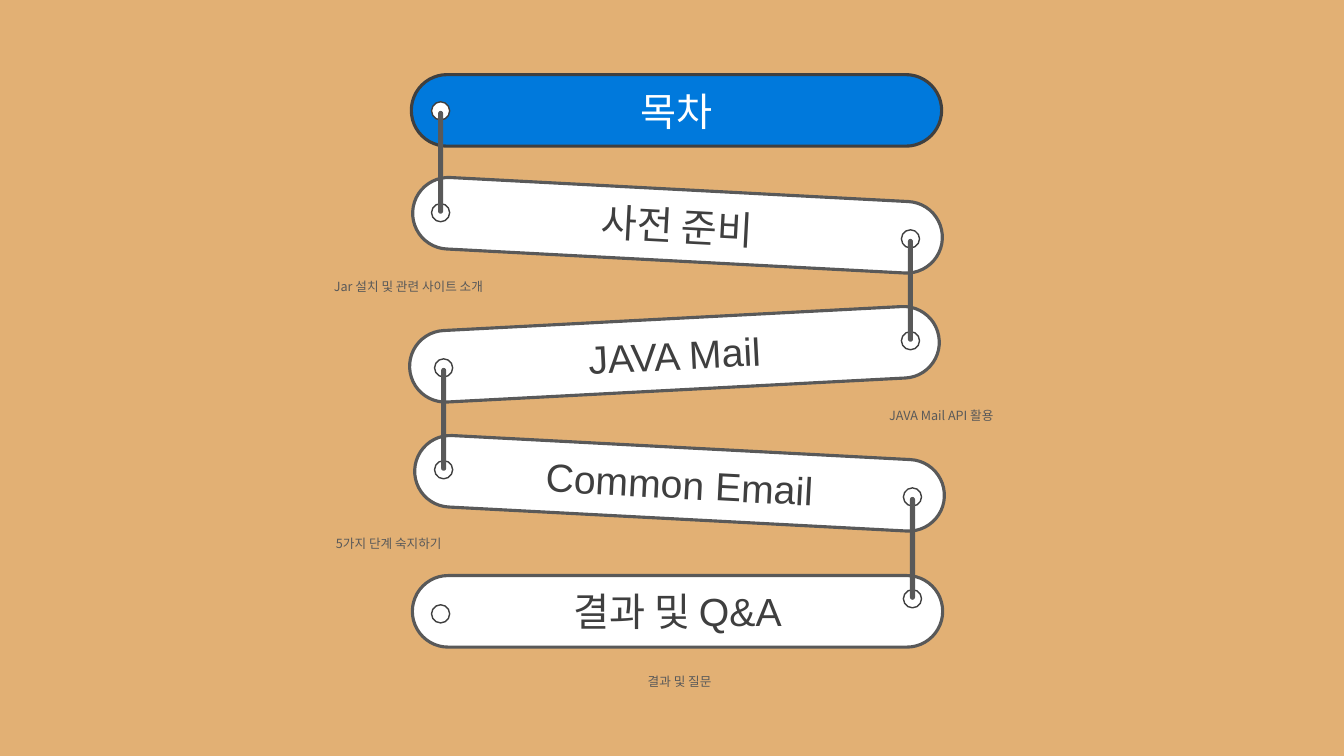
from pptx import Presentation
from pptx.dml.color import RGBColor
from pptx.enum.shapes import MSO_SHAPE
from pptx.enum.text import MSO_ANCHOR, PP_ALIGN
from pptx.util import Inches, Pt
from lxml import etree

PILL = MSO_SHAPE.ROUNDED_RECTANGLE
RING = MSO_SHAPE.OVAL
MIDDLE, TOP = MSO_ANCHOR.MIDDLE, MSO_ANCHOR.TOP
CENTER = PP_ALIGN.CENTER

SAND = RGBColor(0xE2, 0xB0, 0x74)
BLUE = RGBColor(0x00, 0x79, 0xDC)
WHITE = RGBColor(0xFF, 0xFF, 0xFF)
DARK = RGBColor(0x3F, 0x3F, 0x3F)
GRAY = RGBColor(0x59, 0x59, 0x59)

HEAD, BODY = "Arial", "Noto Sans CJK KR"
DRAW = "{http://schemas.openxmlformats.org/drawingml/2006/main}"

# Grid of 133.3 columns by 75 rows
COLS, ROWS = 133.3, 75
CELL = Inches(0.1)
BAR_W, BAR_H = 52.6, 7.1
DOT = 1.8
ROD_W, ROD_H = 0.5, 10.2
STEP = 10.1  # drop from the upper ring to the lower ring

# Left, top, tilt, text, fill, line, text colour
BARS = [
    (40.8, 7.4, 0, "목차", BLUE, DARK, WHITE),
    (40.9, 18.8, 3, "사전 준비", WHITE, GRAY, DARK),
    (40.6, 31.6, -3, "JAVA Mail", WHITE, GRAY, DARK),
    (41.1, 44.4, 3, "Common Email", WHITE, GRAY, DARK),
    (40.9, 57.1, 0, "결과 및 Q&A", WHITE, GRAY, DARK),
]
LINKS = [(42.8, 10.1), (89.4, 22.8), (43.1, 35.6), (89.6, 48.4)]
NOTES = [
    ((31.3, 26.4, 18.4, 3.3), "Jar 설치 및 관련 사이트 소개"),
    ((86.8, 39.2, 13.1, 3), "JAVA Mail API 활용"),
    ((31.7, 51.9, 13.7, 3.3), "5가지 단계 숙지하기"),
    ((62.8, 65.6, 9.2, 3.3), "결과 및 질문"),
]


def cells(*box):
    return [round(n * CELL) for n in box]


def write(shape, text, size, color, font=BODY, anchor=TOP, space=1.0, wrap=True):
    frame = shape.text_frame
    frame.word_wrap = wrap
    frame.vertical_anchor = anchor
    par = frame.paragraphs[0]
    par.alignment = CENTER
    par.line_spacing = space
    run = par.add_run()
    run.text = text
    run.font.name = font
    run.font.size = Pt(size)
    run.font.color.rgb = color
    # Korean letters take the East Asian font
    etree.SubElement(run.font._element, DRAW + "ea", typeface=BODY)


def draw(slide, kind, box, fill, line=None, width=1):
    shape = slide.shapes.add_shape(kind, *cells(*box))
    shape.shadow.inherit = False
    shape.fill.solid()
    shape.fill.fore_color.rgb = fill
    if line is None:
        shape.line.fill.background()
    else:
        shape.line.color.rgb = line
        shape.line.width = Pt(width)
    if kind == PILL:
        shape.adjustments[0] = 0.5
    return shape


def bar(slide, box, tilt, text, fill, line, color):
    shape = draw(slide, PILL, box, fill, line, 2.25)
    shape.rotation = tilt
    write(shape, text, 28, color, font=HEAD, anchor=MIDDLE)


def ring(slide, left, top):
    draw(slide, RING, (left, top, DOT, DOT), WHITE, DARK)


def link(slide, left, top):
    for row in range(2):
        ring(slide, left, top + row * STEP)
    rod = (left + (DOT - ROD_W) / 2, top + DOT / 2, ROD_W, ROD_H)
    draw(slide, PILL, rod, GRAY)


def note(slide, box, text):
    shape = slide.shapes.add_textbox(*cells(*box))
    write(shape, text, 9, GRAY, space=1.5)


def agenda(slide):
    # Tilted bars
    for left, top, *look in BARS:
        bar(slide, (left, top, BAR_W, BAR_H), *look)
    # Links between bars, and the loose ring on the last one
    for left, top in LINKS:
        link(slide, left, top)
    ring(slide, LINKS[0][0], 60)
    # Side notes
    for box, text in NOTES:
        note(slide, box, text)


def main():
    deck = Presentation()
    deck.slide_width, deck.slide_height = cells(COLS, ROWS)
    slide = deck.slides.add_slide(deck.slide_layouts[6])
    slide.background.fill.solid()
    slide.background.fill.fore_color.rgb = SAND
    agenda(slide)
    deck.save("out.pptx")


if __name__ == "__main__":
    main()
